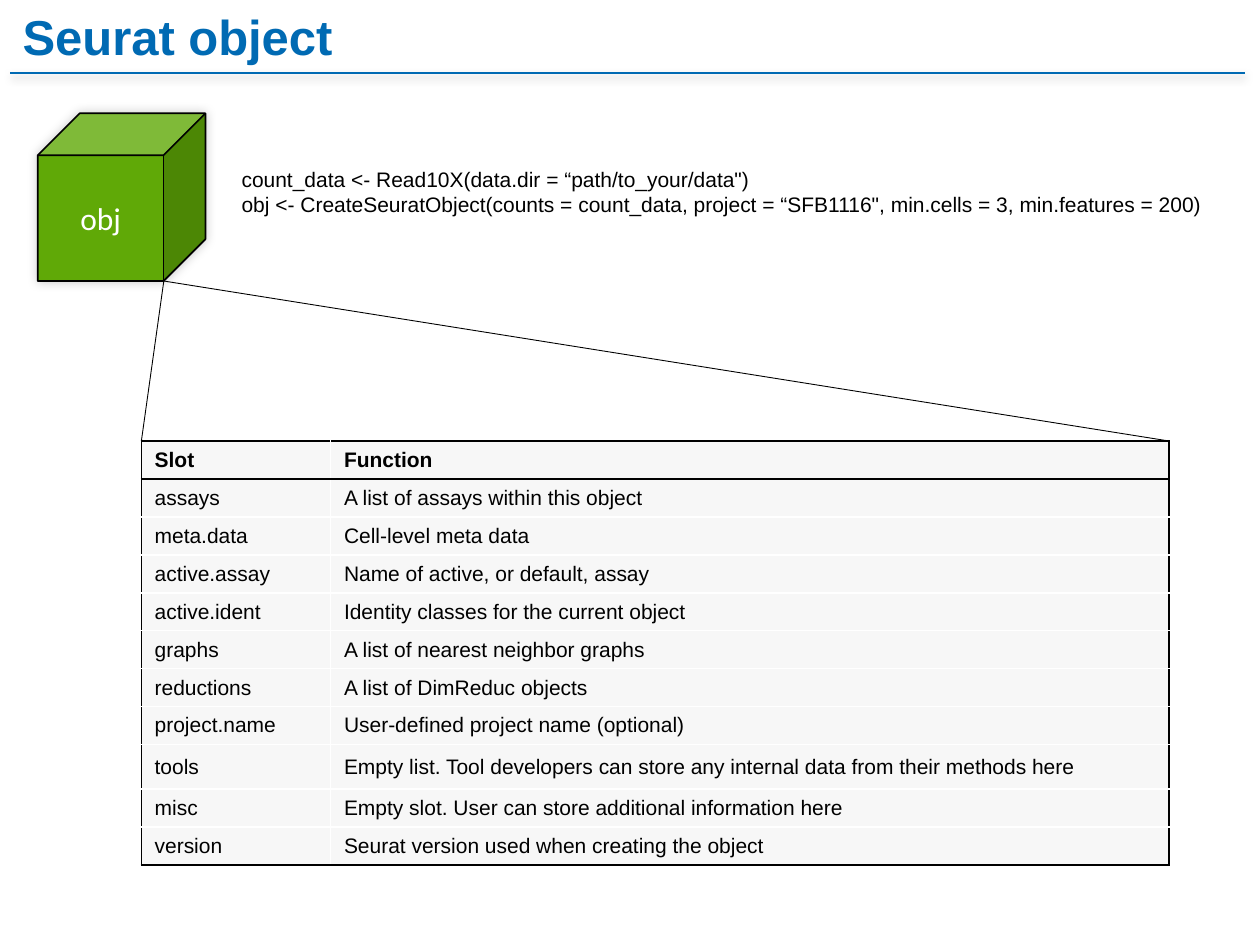
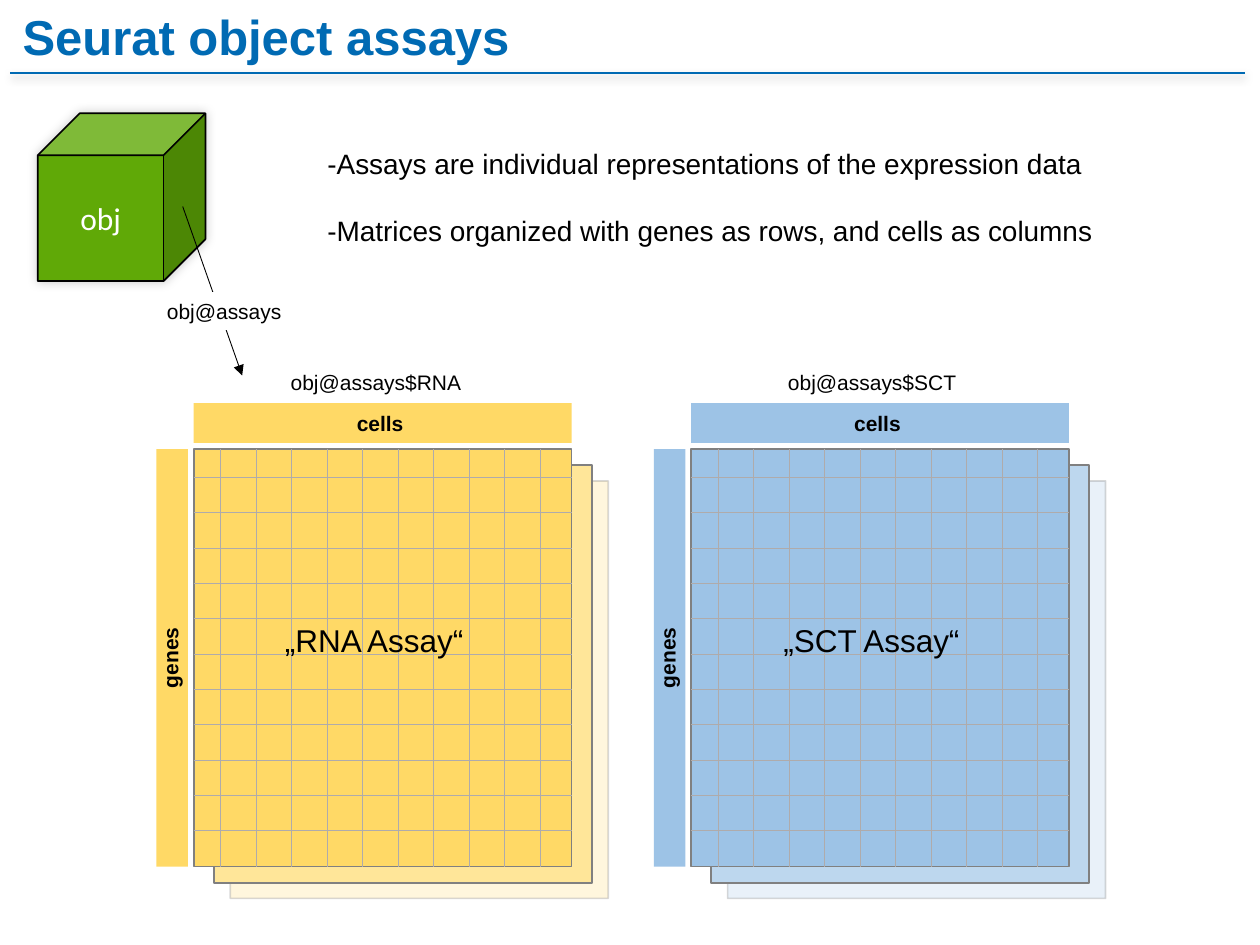
from lxml.etree import SubElement
from pptx import Presentation
from pptx.dml.color import RGBColor
from pptx.enum.shapes import MSO_CONNECTOR, MSO_SHAPE
from pptx.enum.text import MSO_ANCHOR, PP_ALIGN
from pptx.oxml.ns import qn
from pptx.util import Pt

BLUE = "006AB3"
GREEN = "60A907"
BLACK = "000000"
WHITE = "FFFFFF"
GRAY = "808080"
GRID_GRAY = "AFABAB"

CUBE_BOX = (21.6, 64.8, 95.8, 95.8)
CUBE_CORNER = (93.6, 160.6)
TABLE_BOX = (80.8, 252, 587.2, 242.4)
COLUMN_WIDTHS = (108.2, 479)
ROW_HEIGHT = 21.7
TALL_ROW_HEIGHT = 25.4
PANEL_TOP = 207.4
SHEET_SIZE = (216, 238.6)

SLOTS = [
    ("Slot", "Function"),
    ("assays", "A list of assays within this object"),
    ("meta.data", "Cell-level meta data"),
    ("active.assay", "Name of active, or default, assay"),
    ("active.ident", "Identity classes for the current object"),
    ("graphs", "A list of nearest neighbor graphs"),
    ("reductions", "A list of DimReduc objects"),
    ("project.name", "User-defined project name (optional)"),
    ("tools", "Empty list. Tool developers can store any internal data from their methods here"),
    ("misc", "Empty slot. User can store additional information here"),
    ("version", "Seurat version used when creating the object"),
]


def color(hex_code):
    """Return the colour for a hex string."""
    return RGBColor.from_string(hex_code)


def paint(fill, hex_code):
    """Give a fill one solid colour."""
    fill.solid()
    fill.fore_color.rgb = color(hex_code)


def set_opacity(element, percent):
    """Make every colour inside an element partly transparent."""
    for color_element in element.iter(qn("a:srgbClr")):
        SubElement(color_element, qn("a:alpha"), val=str(percent * 1000))


def set_shadow(shape, opacity=None, blur=0, distance=0, angle=0):
    """Replace the theme shadow by none, or by a black outer shadow."""
    properties = shape.element.spPr
    effects = properties.find(qn("a:effectLst"))
    if effects is None:
        effects = SubElement(properties, qn("a:effectLst"))
    if opacity:
        shadow = SubElement(effects, qn("a:outerShdw"), blurRad=str(Pt(blur)),
                            dist=str(Pt(distance)), dir=str(angle * 60000), rotWithShape="0")
        SubElement(shadow, qn("a:srgbClr"), val=BLACK)
        set_opacity(shadow, opacity)


def write(text_frame, text, size=12, hex_code=BLACK, bold=False, align=PP_ALIGN.LEFT,
          font="Arial", gap=0):
    """Fill a text frame and format all its runs alike."""
    text_frame.text = text
    for index, paragraph in enumerate(text_frame.paragraphs):
        paragraph.alignment = align
        if gap and index:
            paragraph.space_before = Pt(gap)
        for run in paragraph.runs:
            run.font.name = font
            run.font.size = Pt(size)
            run.font.bold = bold
            run.font.color.rgb = color(hex_code)


def add_text(slide, box, text, wrap=True, rotation=0, **style):
    """Add a text box at a box given in points."""
    shape = slide.shapes.add_textbox(*map(Pt, box))
    shape.rotation = rotation
    shape.text_frame.word_wrap = wrap
    write(shape.text_frame, text, **style)


def add_box(slide, box, fill, line=None, preset=MSO_SHAPE.RECTANGLE):
    """Add a flat preset shape with an optional one point outline."""
    shape = slide.shapes.add_shape(preset, *map(Pt, box))
    shape.shadow.inherit = False
    paint(shape.fill, fill)
    if line:
        paint(shape.line.fill, line)
        shape.line.width = Pt(1)
    else:
        shape.line.fill.background()
    return shape


def add_line(slide, start, end, hex_code=BLACK, width=0.5, arrow=False, shadow=()):
    """Add a straight line, with an arrowhead at its end if wanted."""
    line = slide.shapes.add_connector(MSO_CONNECTOR.STRAIGHT, *map(Pt, start + end))
    paint(line.line.fill, hex_code)
    line.line.width = Pt(width)
    if arrow:
        SubElement(line.element.spPr.find(qn("a:ln")), qn("a:tailEnd"), type="triangle")
    set_shadow(line, *shadow)


def add_title(slide, title, width):
    """Add the slide title and the rule under it."""
    add_text(slide, (5.8, 0, width, 41), title, wrap=False, size=28, hex_code=BLUE, bold=True)
    add_line(slide, (6, 41.6), (711.4, 41.6), BLUE, 1.25, shadow=(27, 5, 2, 90))


def add_object_cube(slide, box):
    """Add the cube that stands for the object."""
    cube = add_box(slide, box, GREEN, BLACK, MSO_SHAPE.CUBE)
    set_shadow(cube, 20, 6, 0, 315)
    cube.text_frame.vertical_anchor = MSO_ANCHOR.MIDDLE
    write(cube.text_frame, "obj", 18, WHITE, align=PP_ALIGN.CENTER, font="Calibri")


def set_borders(cell, **sides):
    """Set one point borders from side letters and colours, ahead of the cell fill."""
    properties = cell._tc.get_or_add_tcPr()
    for index, side in enumerate("LRTB"):
        border = SubElement(properties, qn(f"a:ln{side}"), w=str(Pt(1)))
        SubElement(SubElement(border, qn("a:solidFill")), qn("a:srgbClr"), val=sides[side])
        properties.insert(index, border)


def add_slot_table(slide, box):
    """Add the table of object slots with a black frame and header rule."""
    table = slide.shapes.add_table(len(SLOTS), len(COLUMN_WIDTHS), *map(Pt, box)).table
    table.horz_banding = False
    for column, width in zip(table.columns, COLUMN_WIDTHS):
        column.width = Pt(width)
    last = len(SLOTS) - 1
    for row_index, texts in enumerate(SLOTS):
        is_tall = texts[0] == "tools"
        table.rows[row_index].height = Pt(TALL_ROW_HEIGHT if is_tall else ROW_HEIGHT)
        for column_index, text in enumerate(texts):
            cell = table.cell(row_index, column_index)
            cell.vertical_anchor = MSO_ANCHOR.MIDDLE
            cell.margin_left = cell.margin_right = Pt(7.6)
            cell.margin_top = cell.margin_bottom = Pt(3.6)
            write(cell.text_frame, text, bold=row_index == 0)
            paint(cell.fill, GRAY)
            set_opacity(cell._tc.get_or_add_tcPr(), 6)
            set_borders(cell,
                        L=WHITE if column_index else BLACK,
                        R=BLACK if column_index else WHITE,
                        T=BLACK if row_index < 2 else WHITE,
                        B=BLACK if row_index in (0, last) else WHITE)


def add_grid(slide, left, top):
    """Rule a sheet into columns of cells and rows of genes."""
    width, height = SHEET_SIZE
    for index in range(10):
        x = left + 15.4 + index * 20.3
        add_line(slide, (x, top), (x, top + height), GRID_GRAY)
    for index in range(11):
        y = top + 16.2 + index * 20.2
        add_line(slide, (left, y), (left + width, y), GRID_GRAY)


def add_assay(slide, left, top, name, main, middle):
    """Add one assay: stacked sheets, cell and gene bars, grid and labels."""
    width, height = SHEET_SIZE
    sheet_left, sheet_top = left + 21.3, top + 49.2
    back = add_box(slide, (sheet_left + 20.9, sheet_top + 18.2, width, height), main, GRAY)
    set_opacity(back.element.spPr.find(qn("a:solidFill")), 22)
    set_opacity(back.element.spPr.find(qn("a:ln")), 29)
    add_box(slide, (sheet_left + 11.6, sheet_top + 9.2, width, height), middle, GRAY)
    add_box(slide, (left, sheet_top, 18, height), main)
    add_box(slide, (sheet_left, top + 23, width, 22.8), main)
    add_box(slide, (sheet_left, sheet_top, width, height), main, GRAY)
    add_grid(slide, sheet_left, sheet_top)
    centered = {"align": PP_ALIGN.CENTER}
    add_text(slide, (left + 68.4, top + 23.8, 118.8, 21.6), "cells", bold=True, **centered)
    add_text(slide, (left - 44, top + 157.6, 103.6, 21.6), "genes", rotation=270,
             bold=True, **centered)
    add_text(slide, (left + 69.6, top, 118.8, 21.6), f"obj@assays${name}")
    add_text(slide, (left + 65, top + 144, 118.8, 28.8), f"„{name} Assay“", size=18, **centered)


def build_object_slide(slide):
    """Build the slide that lists the slots of the object."""
    add_title(slide, "Seurat object", 193.7)
    add_object_cube(slide, CUBE_BOX)
    add_text(slide, (131, 91.4, 580.3, 36),
             "count_data <- Read10X(data.dir = “path/to_your/data\")\n"
             "obj <- CreateSeuratObject(counts = count_data, project = “SFB1116\", "
             "min.cells = 3, min.features = 200)")
    left, top, width, _ = TABLE_BOX
    for x in (left, left + width):
        add_line(slide, CUBE_CORNER, (x, top))
    add_slot_table(slide, TABLE_BOX)


def build_assays_slide(slide):
    """Build the slide that shows the assays as matrices."""
    add_title(slide, "Seurat object assays", 296.6)
    add_object_cube(slide, CUBE_BOX)
    add_line(slide, (104.4, 118), (138.4, 214.6), arrow=True)
    label = add_box(slide, (76.3, 167, 103.7, 21.6), WHITE)
    label.text_frame.vertical_anchor = MSO_ANCHOR.TOP
    write(label.text_frame, "obj@assays", align=PP_ALIGN.CENTER)
    add_text(slide, (180, 80, 489, 65.5),
             "-Assays are individual representations of the expression data\n"
             "-Matrices organized with genes as rows, and cells as columns", size=16, gap=19.2)
    add_assay(slide, 89.4, PANEL_TOP, "RNA", "FFD966", "FFE699")
    add_assay(slide, 373.6, PANEL_TOP, "SCT", "9DC3E6", "BDD7EE")


def main():
    """Build and save the presentation."""
    presentation = Presentation()
    presentation.slide_width = Pt(720)
    presentation.slide_height = Pt(540)
    for build_slide in (build_object_slide, build_assays_slide):
        build_slide(presentation.slides.add_slide(presentation.slide_layouts[6]))
    presentation.save("out.pptx")


if __name__ == "__main__":
    main()
